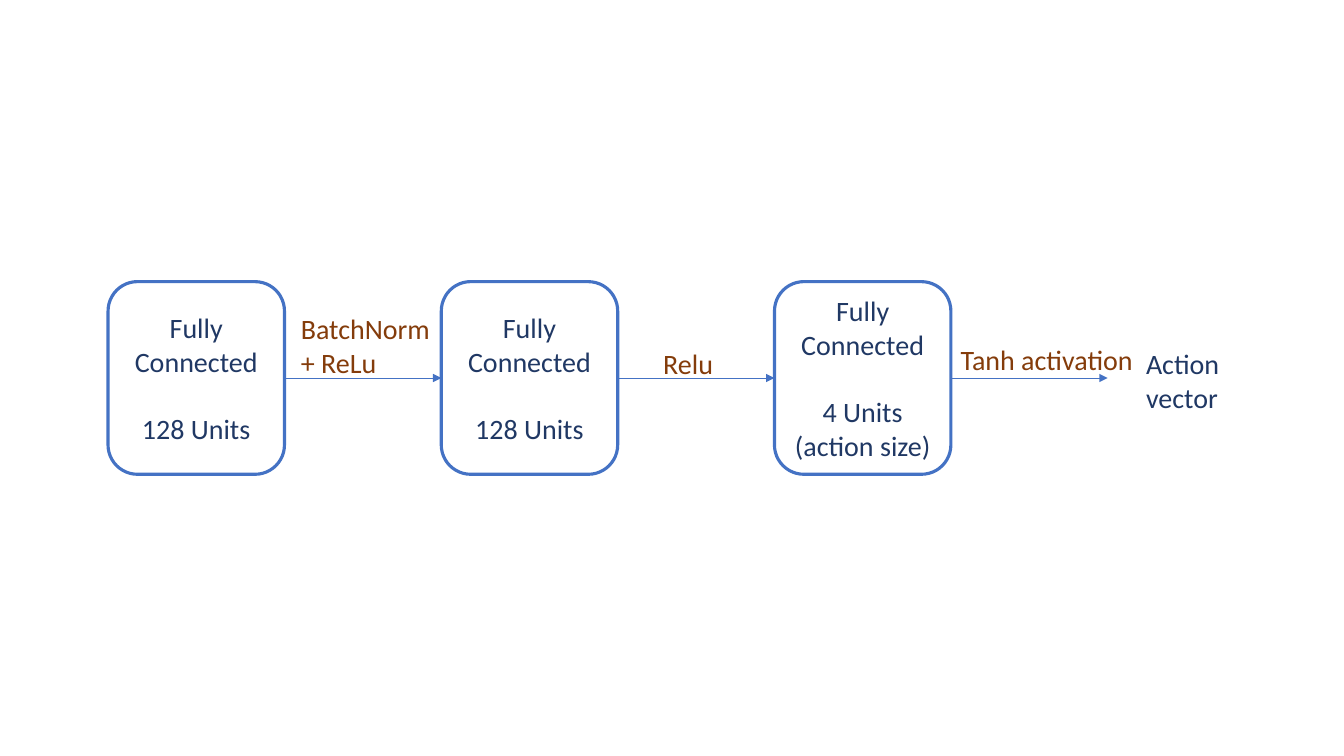
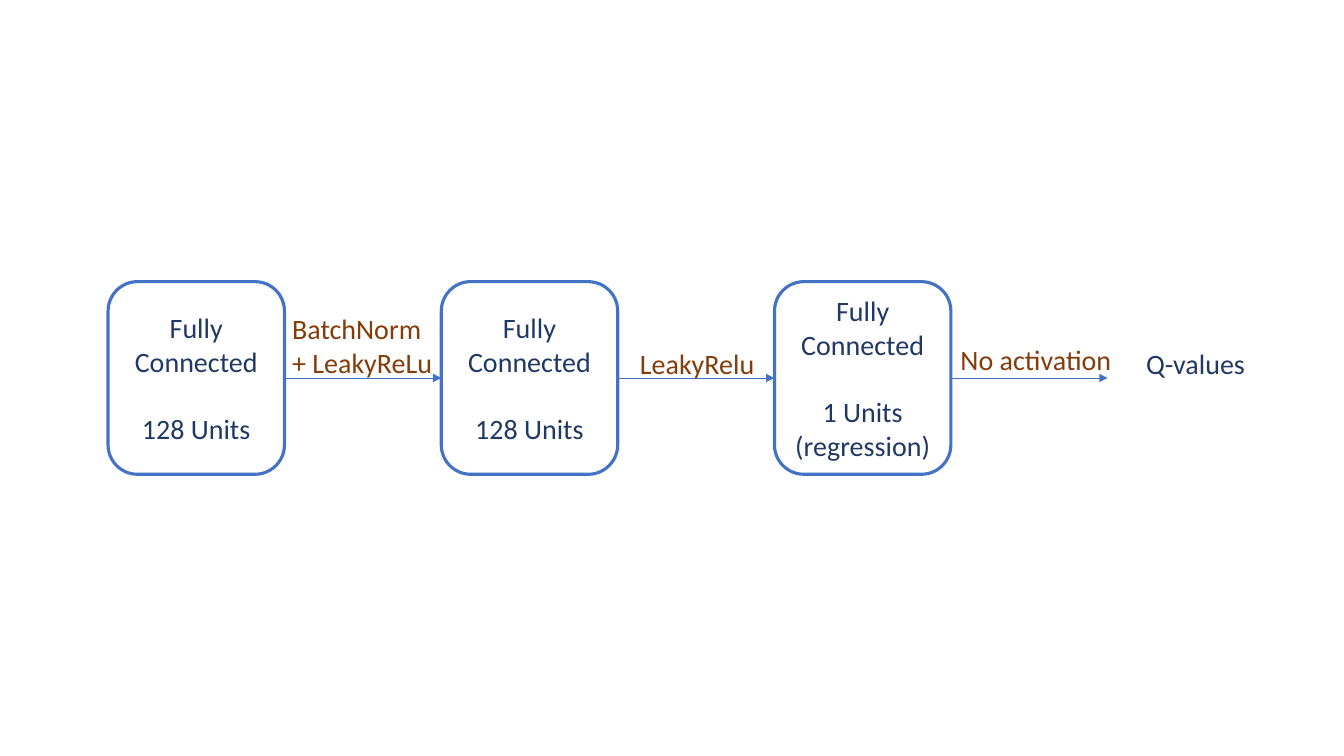
from lxml import etree
from pptx import Presentation
from pptx.dml.color import RGBColor
from pptx.enum.shapes import MSO_CONNECTOR, MSO_SHAPE
from pptx.enum.text import MSO_ANCHOR, PP_ALIGN
from pptx.oxml.ns import qn
from pptx.util import Pt

ROUNDED = MSO_SHAPE.ROUNDED_RECTANGLE
STRAIGHT = MSO_CONNECTOR.STRAIGHT
MIDDLE = MSO_ANCHOR.MIDDLE
LEFT, CENTER = PP_ALIGN.LEFT, PP_ALIGN.CENTER

WHITE = RGBColor(0xFF, 0xFF, 0xFF)
BLUE = RGBColor(0x44, 0x72, 0xC4)
NAVY = RGBColor(0x20, 0x38, 0x64)
BROWN = RGBColor(0x84, 0x3C, 0x0B)

# Layout of the layer row, in points
FIRST_LEFT, PITCH = 77.2, 238
BOX_WIDTH, BOX_HEIGHT = 126, 137.6
ARROW_LENGTH = PITCH - BOX_WIDTH
MIDLINE = 270
LINE_HEIGHT, TEXT_MARGINS = 24, 7.6

# Each network: units per layer, then labels as (lines, left, top, width, colour)
NETWORKS = [
    {"units": ["128 Units", "128 Units", "4 Units (action size)"],
     "labels": [(["BatchNorm", "+ ReLu"], 207.8, 219, 114, BROWN),
                (["Relu"], 466.6, 244, 54, BROWN),
                (["Tanh activation"], 679, 241.2, 143, BROWN),
                (["Action", "vector"], 811.5, 244, 76, NAVY)]},
    {"units": ["128 Units", "128 Units", "1 Units (regression)"],
     "labels": [(["BatchNorm", "+ LeakyReLu"], 201.6, 219, 119, BROWN),
                (["LeakyRelu"], 450, 244, 101, BROWN),
                (["No activation"], 679, 241.2, 128, BROWN),
                (["Q-values"], 811.5, 244, 90, NAVY)]},
]


def write_lines(shape, lines, color, alignment, gap=0):
    """Write one paragraph per line, with a gap between paragraphs."""
    frame = shape.text_frame
    frame.word_wrap = True
    frame.text = "\n".join(lines)
    font_format = {"name": "Calibri", "size": Pt(20)}
    for index, paragraph in enumerate(frame.paragraphs):
        paragraph.alignment = alignment
        paragraph.space_before = Pt(gap if index else 0)
        font = paragraph.runs[0].font
        for name, value in font_format.items():
            setattr(font, name, value)
        font.color.rgb = color


presentation = Presentation()
presentation.slide_width, presentation.slide_height = Pt(960), Pt(540)
blank_layout = presentation.slide_layouts[6]

for network in NETWORKS:
    slide = presentation.slides.add_slide(blank_layout)

    # Layers, each followed by an arrow
    for index, units in enumerate(network["units"]):
        left = FIRST_LEFT + index * PITCH
        right = left + BOX_WIDTH
        layer = slide.shapes.add_shape(
            ROUNDED, Pt(left), Pt(MIDLINE - BOX_HEIGHT / 2), Pt(BOX_WIDTH), Pt(BOX_HEIGHT))
        layer.shadow.inherit = False
        layer.fill.solid()
        layer.fill.fore_color.rgb = WHITE
        layer.line.color.rgb = BLUE
        layer.line.width = Pt(2.25)
        layer.text_frame.vertical_anchor = MIDDLE
        write_lines(layer, ["Fully Connected", units], NAVY, CENTER, gap=LINE_HEIGHT)

        arrow = slide.shapes.add_connector(
            STRAIGHT, Pt(right), Pt(MIDLINE), Pt(right + ARROW_LENGTH), Pt(MIDLINE))
        arrow.line.color.rgb = BLUE
        arrow.line.width = Pt(0.5)
        etree.SubElement(arrow.line._get_or_add_ln(), qn("a:tailEnd"), type="triangle")
        etree.SubElement(arrow._element.spPr, qn("a:effectLst"))

    # Activation and output labels
    for lines, left, top, width, color in network["labels"]:
        label = slide.shapes.add_textbox(
            Pt(left), Pt(top), Pt(width), Pt(len(lines) * LINE_HEIGHT + TEXT_MARGINS))
        write_lines(label, lines, color, LEFT)

presentation.save("out.pptx")
